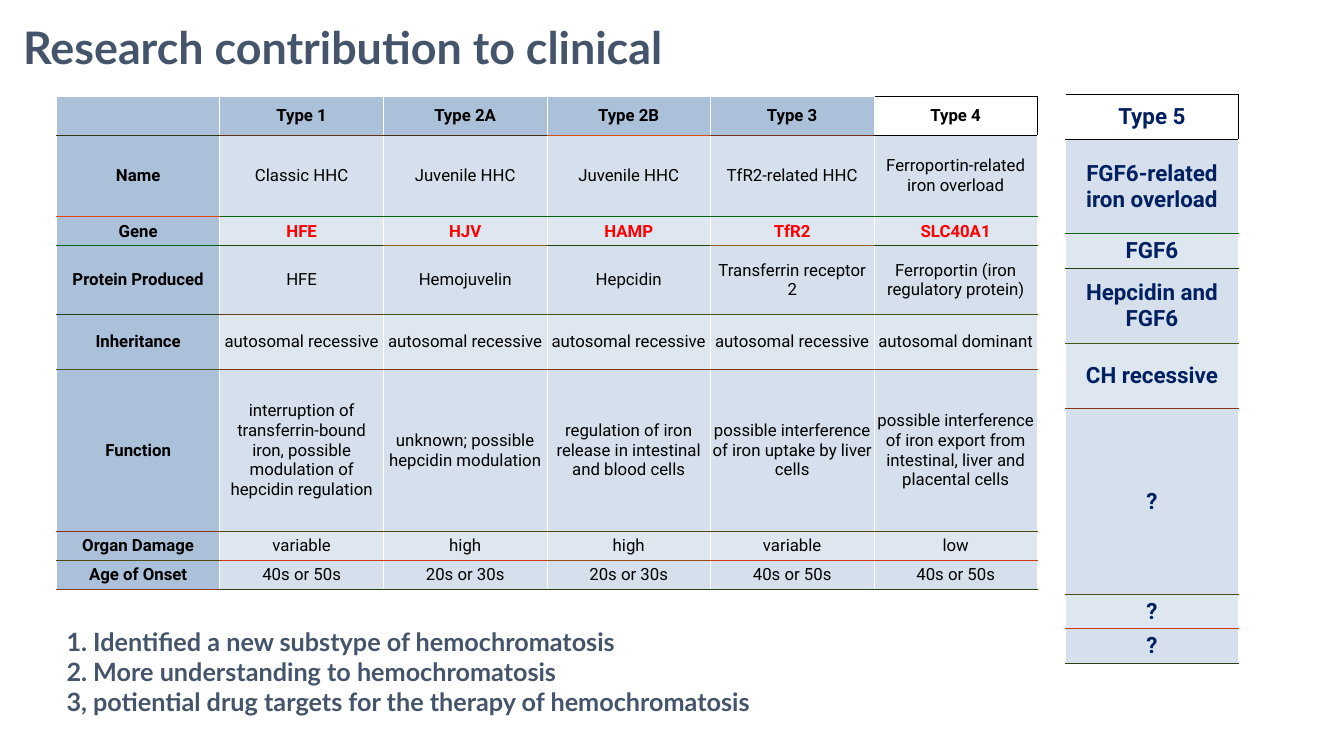
from dataclasses import dataclass

from lxml import etree
from pptx import Presentation
from pptx.dml.color import RGBColor
from pptx.enum.text import MSO_ANCHOR, MSO_AUTO_SIZE, PP_ALIGN
from pptx.oxml.ns import qn
from pptx.util import Inches, Pt

TOP, MIDDLE = MSO_ANCHOR.TOP, MSO_ANCHOR.MIDDLE
LEFT, CENTER = PP_ALIGN.LEFT, PP_ALIGN.CENTER
NO_AUTOFIT = MSO_AUTO_SIZE.NONE


@dataclass(frozen=True)
class Theme:
    heading_font: str = "Lato"
    table_font: str = "Roboto"
    title_size: int = 32
    list_size: int = 18
    table_size: int = 12
    new_type_size: int = 16
    heading: str = "44546A"
    text: str = "000000"
    gene: str = "FF0000"
    new_type: str = "002060"
    header_fill: str = "AAC1D9"
    odd_fill: str = "D5E0EC"
    even_fill: str = "DEE6EF"
    white: str = "FFFFFF"
    border_width: float = 0.75


THEME = Theme()

TITLE = "Research contribution to clinical"
FINDINGS = [
    "1. Identified a new substype of hemochromatosis",
    "2. More understanding to hemochromatosis",
    "3, potiential drug targets for the therapy of hemochromatosis",
]
KNOWN_TYPES = [
    ["", "Type 1", "Type 2A", "Type 2B", "Type 3", "Type 4"],
    ["Name", "Classic HHC", "Juvenile HHC", "Juvenile HHC", "TfR2-related HHC",
     "Ferroportin-related iron overload"],
    ["Gene", "HFE", "HJV", "HAMP", "TfR2", "SLC40A1"],
    ["Protein Produced", "HFE", "Hemojuvelin", "Hepcidin", "Transferrin receptor 2",
     "Ferroportin (iron regulatory protein)"],
    ["Inheritance"] + ["autosomal recessive"] * 4 + ["autosomal dominant"],
    ["Function",
     "interruption of transferrin-bound iron, possible modulation of hepcidin regulation",
     "unknown; possible hepcidin modulation",
     "regulation of iron release in intestinal and blood cells",
     "possible interference of iron uptake by liver cells",
     "possible interference of iron export from intestinal, liver and placental cells"],
    ["Organ Damage", "variable", "high", "high", "variable", "low"],
    ["Age of Onset", "40s or 50s", "20s or 30s", "20s or 30s", "40s or 50s", "40s or 50s"],
]
NEW_TYPE = [["Type 5"], ["FGF6-related iron overload"], ["FGF6"], ["Hepcidin and FGF6"],
            ["CH recessive"], ["?"], ["?"], ["?"]]
KNOWN_HEIGHTS = [0.38, 0.81, 0.29, 0.68, 0.55, 1.6, 0.29, 0.29]
NEW_HEIGHTS = [0.44, 0.94, 0.34, 0.75, 0.64, 1.85, 0.34, 0.34]

# Colour of the line under each row, column by column
ROW_LINES = [
    ["303710", "682F10", "482E10", "D84F10", "782E10", "000000"],
    ["E84510"] + ["086210"] * 5,
    ["086210", "204110", "906110", "204110", "906110", "204110"],
    ["204110", "604010"] + ["485510"] * 4,
    ["485510"] + ["883310"] * 5,
    ["883310"] + ["504A10"] * 5,
    ["504A10", "D03910", "D03910", "984A10", "D03910", "D03910"],
    ["903A10"] + ["284210"] * 5,
]
LAST_COLUMN_LINES = [lines[-1:] for lines in ROW_LINES]


def style_paragraph(paragraph, font_name, size, color, bold, alignment):
    paragraph.alignment = alignment
    paragraph.space_before = paragraph.space_after = Pt(0)
    paragraph.line_spacing = 1.0
    for run in paragraph.runs:
        run.font.name = font_name
        run.font.size = Pt(size)
        run.font.bold = bold
        run.font.color.rgb = RGBColor.from_string(color)


def fill_placeholder(placeholder, box, lines, size):
    """Move a placeholder to box and write unbulleted heading-style lines in it."""
    placeholder.left, placeholder.top, placeholder.width, placeholder.height = map(Inches, box)
    text_frame = placeholder.text_frame
    text_frame.text = "\n".join(lines)
    text_frame.word_wrap = True
    text_frame.auto_size = NO_AUTOFIT
    text_frame.vertical_anchor = TOP
    for paragraph in text_frame.paragraphs:
        properties = paragraph._p.get_or_add_pPr()
        properties.set("marL", "0")
        properties.set("indent", "0")
        etree.SubElement(properties, qn("a:buNone"))
        style_paragraph(paragraph, THEME.heading_font, size, THEME.heading, True, LEFT)


def set_borders(cell, left, right, top, bottom):
    properties = cell._tc.get_or_add_tcPr()
    for tag, color in (("a:lnL", left), ("a:lnR", right), ("a:lnT", top), ("a:lnB", bottom)):
        line = etree.SubElement(properties, qn(tag), w=str(Pt(THEME.border_width)))
        solid = etree.SubElement(line, qn("a:solidFill"))
        etree.SubElement(solid, qn("a:srgbClr"), val=color)


def format_cell(cell, text, fill, size, color, bold):
    cell.margin_left = cell.margin_right = Inches(0.02)
    cell.margin_top = cell.margin_bottom = Inches(0.02)
    cell.vertical_anchor = MIDDLE
    cell.fill.solid()
    cell.fill.fore_color.rgb = RGBColor.from_string(fill)
    cell.text_frame.text = text
    style_paragraph(cell.text_frame.paragraphs[0], THEME.table_font, size, color, bold, CENTER)


def add_type_table(slide, box, rows, heights, row_lines, new_type=False):
    """Draw a table of disease types whose last column has a boxed white header."""
    column_count = len(rows[0])
    frame = slide.shapes.add_table(len(rows), column_count, *map(Inches, box))
    table = frame.table
    table.first_row = table.horz_banding = False
    for column in table.columns:
        column.width = Inches(box[2] / column_count)
    for row_index, (texts, height) in enumerate(zip(rows, heights)):
        table.rows[row_index].height = Inches(height)
        for column_index, text in enumerate(texts):
            boxed = row_index == 0 and column_index == column_count - 1
            header = row_index == 0 or (column_index == 0 and not new_type)
            gene = texts[0] == "Gene" and not header
            edge = THEME.text if boxed else THEME.white
            top = row_lines[row_index - 1][column_index] if row_index else edge
            if boxed:
                fill = THEME.white
            elif header:
                fill = THEME.header_fill
            else:
                fill = THEME.odd_fill if row_index % 2 else THEME.even_fill
            if new_type:
                size, color = THEME.new_type_size, THEME.new_type
            else:
                size, color = THEME.table_size, THEME.gene if gene else THEME.text
            cell = table.cell(row_index, column_index)
            set_borders(cell, THEME.white, edge, top, row_lines[row_index][column_index])
            format_cell(cell, text, fill, size, color, header or gene or new_type)


def build_research_slide(presentation):
    slide = presentation.slides.add_slide(presentation.slide_layouts[1])
    fill_placeholder(slide.shapes.title, (0.13, 0.15, 6.98, 0.64), [TITLE], THEME.title_size)
    fill_placeholder(slide.placeholders[1], (0.56, 6.16, 7.36, 1.01), FINDINGS, THEME.list_size)
    add_type_table(slide, (0.56, 0.96, 9.73, 4.89), KNOWN_TYPES, KNOWN_HEIGHTS, ROW_LINES)
    add_type_table(slide, (10.57, 0.94, 1.71, 5.64), NEW_TYPE, NEW_HEIGHTS,
                   LAST_COLUMN_LINES, new_type=True)


def main():
    presentation = Presentation()
    presentation.slide_width = Inches(13.33)
    presentation.slide_height = Inches(7.5)
    build_research_slide(presentation)
    presentation.save("out.pptx")


if __name__ == "__main__":
    main()
